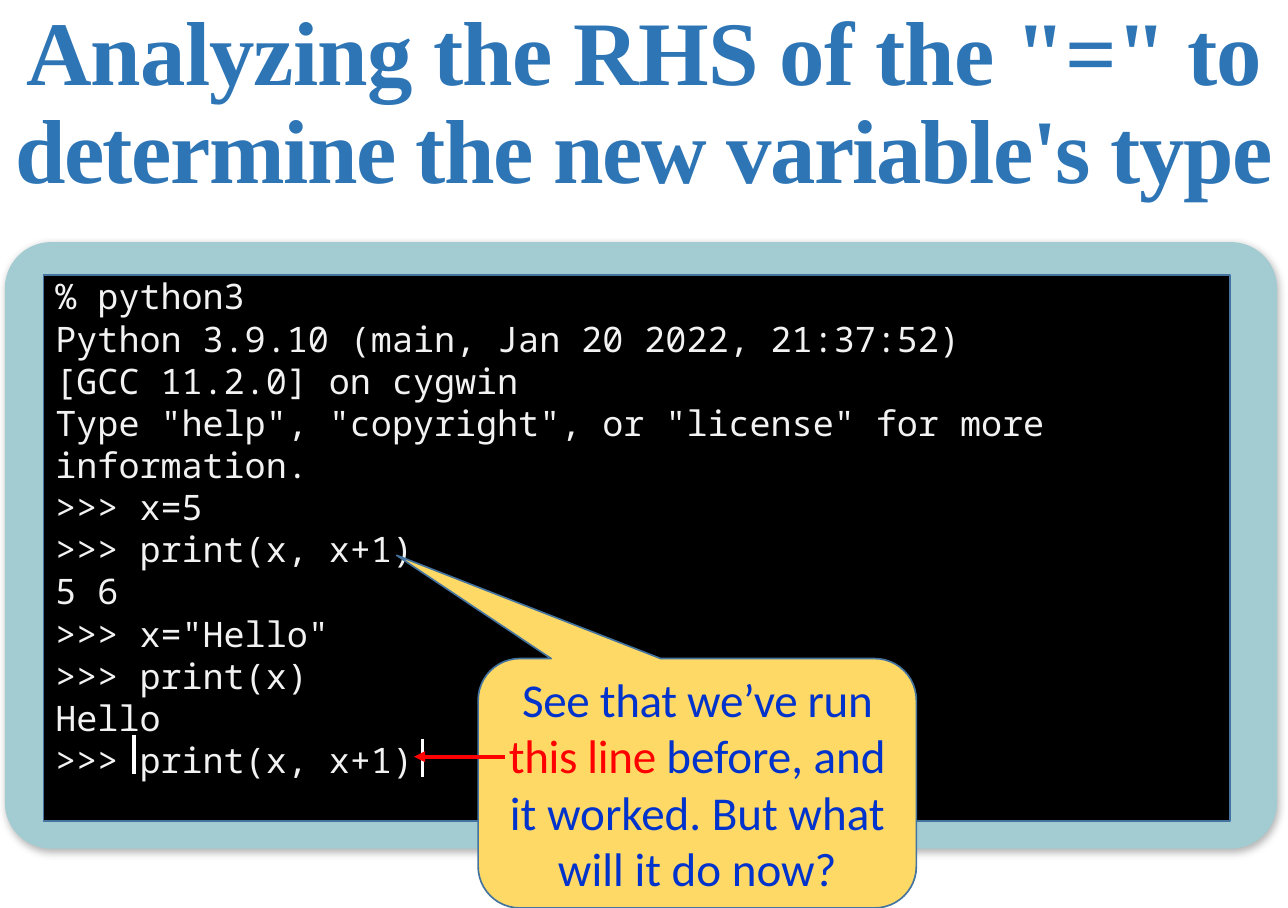
from dataclasses import dataclass
from typing import Optional

from lxml.etree import SubElement as Sub
from pptx import Presentation as Deck
from pptx.dml.color import RGBColor as Rgb
from pptx.enum.shapes import MSO_CONNECTOR as Link, MSO_SHAPE as Form
from pptx.enum.text import MSO_ANCHOR as Anchor, PP_ALIGN as Align
from pptx.oxml.ns import qn
from pptx.util import Inches, Pt

HUES = {
    "white": "FFFFFF", "black": "000000", "teal": "A2CCD2", "edge": "43739E",
    "pale": "F2F2F2", "title": "2E75B6", "gold": "FFD966", "blue": "0033CC",
    "red": "FF0000",
}


@dataclass
class Run:
    text: str
    hue: str
    gap: float = 0


@dataclass
class Box:
    form: Form
    area: tuple[float, float, float, float]
    fill: str
    edge: Optional[str] = None
    bends: tuple[float, ...] = ()


@dataclass
class Type:
    font: str
    size: float
    bold: bool = False
    align: Align = Align.CENTER
    anchor: Anchor = Anchor.MIDDLE
    lead: float = 1.0
    top: float = 0.05


@dataclass
class Line:
    start: tuple[float, float]
    end: tuple[float, float]
    hue: str
    arrow: bool = False


def tint(name: str) -> Rgb:
    return Rgb.from_string(HUES[name])


def add_box(slide, box: Box):
    shape = slide.shapes.add_shape(box.form, *map(Inches, box.area))
    shape.shadow.inherit = False
    for spot, bend in enumerate(box.bends):
        shape.adjustments[spot] = bend
    shape.fill.solid()
    shape.fill.fore_color.rgb = tint(box.fill)
    if box.edge:
        shape.line.color.rgb = tint(box.edge)
        shape.line.width = Pt(1)
    else:
        shape.line.fill.background()
    return shape


def add_text(shape, kind: Type, rows: list[list[Run]]) -> None:
    frame = shape.text_frame
    frame.word_wrap = True
    frame.vertical_anchor = kind.anchor
    frame.margin_top = Inches(kind.top)
    for spot, row in enumerate(rows):
        para = frame.add_paragraph() if spot else frame.paragraphs[0]
        para.alignment = kind.align
        para.line_spacing = kind.lead
        for part in row:
            run = para.add_run()
            run.text = part.text
            font = run.font
            font.name, font.size, font.bold = kind.font, Pt(kind.size), kind.bold
            font.color.rgb = tint(part.hue)
            if part.gap:
                run._r.get_or_add_rPr().set("spc", str(round(part.gap * 100)))


def add_shade(shape) -> None:
    effects = shape._element.spPr.find(qn("a:effectLst"))
    shade = Sub(effects, qn("a:outerShdw"), blurRad=str(Pt(4.5)),
                dist=str(Pt(2.6)), dir=str(53 * 60000), rotWithShape="0")
    hue = Sub(shade, qn("a:srgbClr"), val=HUES["black"])
    Sub(hue, qn("a:alpha"), val="30000")


def add_line(slide, line: Line) -> None:
    ends = map(Inches, line.start + line.end)
    link = slide.shapes.add_connector(Link.STRAIGHT, *ends)
    link.line.color.rgb = tint(line.hue)
    link.line.width = Pt(2.25)
    if line.arrow:
        Sub(link.line._get_or_add_ln(), qn("a:tailEnd"), type="triangle")
    Sub(link._element.spPr, qn("a:effectLst"))


FRAME = Box(Form.ROUNDED_RECTANGLE, (0.04, 2, 10.51, 5.01), "teal", None, (0.076,))
SCREEN = Box(Form.RECTANGLE, (0.36, 2.27, 9.8, 4.51), "black", "edge")
HEAD = Box(Form.RECTANGLE, (-0.43, 0, 11.5, 1.74), "white")
NOTE = Box(Form.ROUNDED_RECTANGULAR_CALLOUT, (3.95, 5.44, 3.62, 2.06),
           "gold", "edge", (-0.686, -0.914, 0.167))

CODE = """% python3
Python 3.9.10 (main, Jan 20 2022, 21:37:52)
[GCC 11.2.0] on cygwin
Type "help", "copyright", or "license" for more information.
>>> x=5
>>> print(x, x+1)
5 6
>>> x="Hello"
>>> print(x)
Hello
>>> print(x, x+1)"""
TITLE = [Run("Analyzing the RHS of the \"=\" to ", "title", -0.5),
         Run("determine the new variable's type", "title", -0.9)]
ASK = [Run("See that we’ve run ", "blue", -0.2),
       Run("this line ", "red", -0.2),
       Run("before, and it worked. But what will it do now?", "blue")]
LINES = [
    Line((3.49, 6.1), (3.49, 6.42), "white"),
    Line((1.11, 6.07), (1.11, 6.39), "white"),
    Line((4.17, 6.25), (3.42, 6.25), "red", True),
]


def main() -> None:
    deck = Deck()
    deck.slide_width, deck.slide_height = Inches(10.64), Inches(7.5)
    slide = deck.slides.add_slide(deck.slide_layouts[6])
    add_shade(add_box(slide, FRAME))
    mono = Type("Noto Sans Mono", 20.9, align=Align.LEFT, anchor=Anchor.TOP, top=0)
    add_text(add_box(slide, SCREEN), mono,
             [[Run(row, "pale")] for row in CODE.split("\n")])
    add_text(add_box(slide, HEAD),
             Type("Times New Roman", 54, bold=True, lead=0.9), [TITLE])
    add_text(add_box(slide, NOTE), Type("Calibri", 28), [ASK])
    for line in LINES:
        add_line(slide, line)
    deck.save("out.pptx")


if __name__ == "__main__":
    main()
